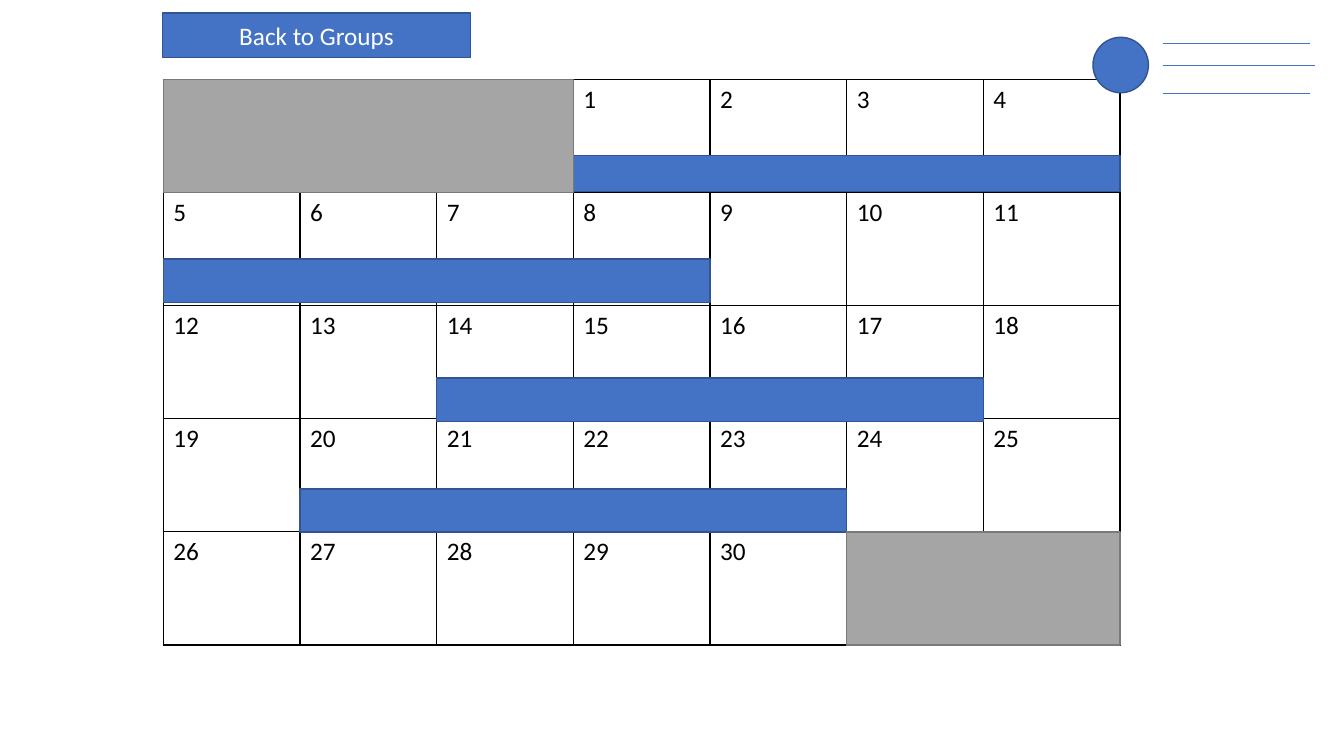
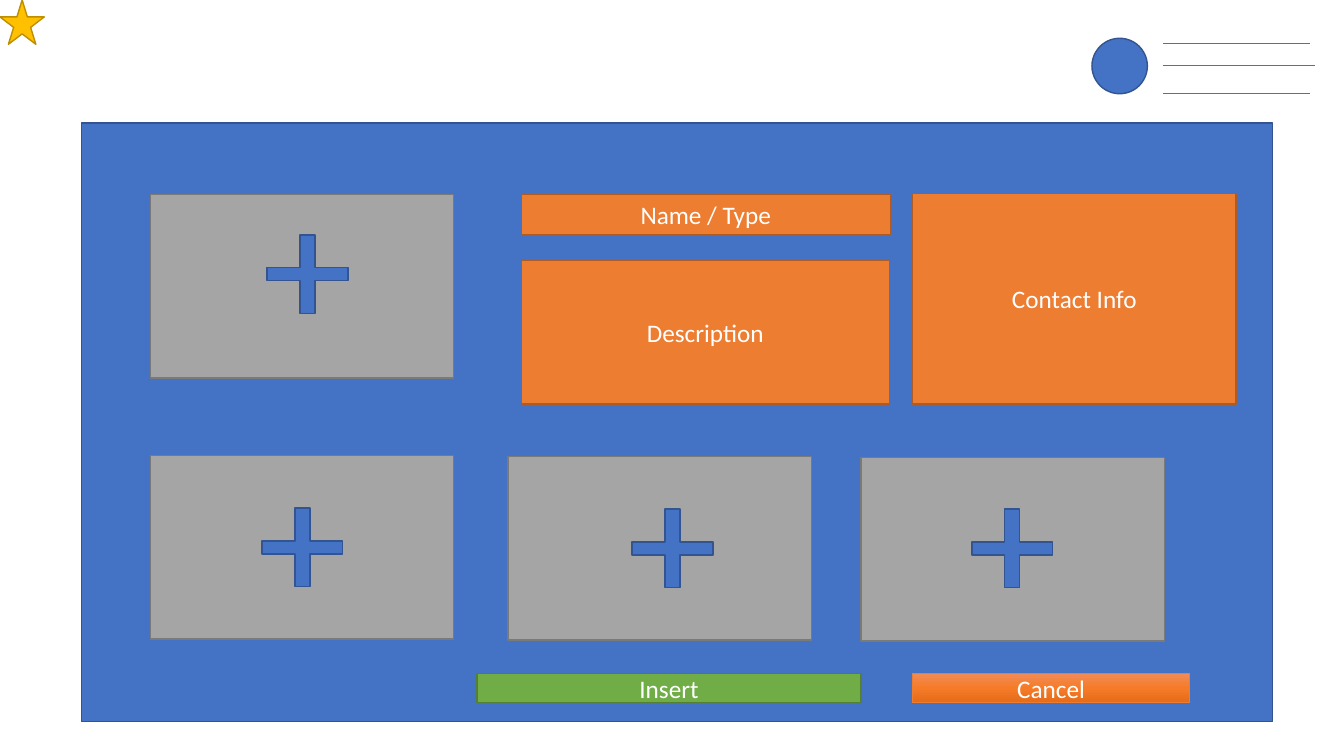
"""Build two app screens: a booking calendar and an entry form."""
from dataclasses import dataclass

from lxml import etree
from pptx import Presentation
from pptx.dml.color import RGBColor
from pptx.enum.shapes import MSO_CONNECTOR, MSO_SHAPE
from pptx.enum.text import MSO_ANCHOR, PP_ALIGN
from pptx.oxml.ns import qn
from pptx.shapes.autoshape import Shape
from pptx.slide import Slide
from pptx.table import _Cell
from pptx.text.text import TextFrame
from pptx.util import Inches, Pt

RECT, OVAL = MSO_SHAPE.RECTANGLE, MSO_SHAPE.OVAL
PLUS, STAR = MSO_SHAPE.CROSS, MSO_SHAPE.STAR_5_POINT
STRAIGHT = MSO_CONNECTOR.STRAIGHT
LEFT, CENTER = PP_ALIGN.LEFT, PP_ALIGN.CENTER
MIDDLE = MSO_ANCHOR.MIDDLE


@dataclass(frozen=True)
class Paint:
    """Fill and outline colours of a shape."""
    fill: str
    line: str


@dataclass(frozen=True)
class Theme:
    """Colours, font and sizes shared by the slides."""
    blue: Paint = Paint("4472C4", "325491")
    gray: Paint = Paint("A5A5A5", "7A7A7A")
    orange: Paint = Paint("ED7D31", "AF5C24")
    green: Paint = Paint("70AD47", "538035")
    gold: Paint = Paint("FFC000", "BD8E00")
    white: str = "FFFFFF"
    black: str = "000000"
    cancel_stops: tuple[str, ...] = ("F18C57", "F67B28", "E56C19")
    font: str = "Calibri"
    size: float = 18
    outline: float = 1
    hairline: float = 0.5


@dataclass(frozen=True)
class Box:
    """A painted shape with an optional label, measured in inches."""
    left: float
    top: float
    width: float
    height: float
    paint: Paint
    label: str = ""
    kind: MSO_SHAPE = RECT


@dataclass(frozen=True)
class Span:
    """A run of calendar columns covered by one block."""
    col: int
    cols: int
    top: float
    height: float
    paint: Paint


@dataclass(frozen=True)
class Grid:
    """Place and shape of the month table."""
    left: float = 1.62
    top: float = 0.79
    width: float = 9.49
    height: float = 5.61
    cols: int = 7
    rows: int = 5
    first_col: int = 3
    days: int = 30

    @property
    def col_width(self) -> float:
        """Return the width of one day."""
        return self.width / self.cols

    @property
    def row_height(self) -> float:
        """Return the height of one week."""
        return self.height / self.rows


T = Theme()
GRID = Grid()
LAST_WEEK = GRID.top + (GRID.rows - 1) * GRID.row_height

CALENDAR_SPANS = (
    Span(3, 4, 1.54, 0.36, T.blue),
    Span(0, 4, 2.57, 0.43, T.blue),
    Span(2, 4, 3.75, 0.43, T.blue),
    Span(1, 4, 4.85, 0.43, T.blue),
    Span(0, 3, GRID.top, GRID.row_height, T.gray),
    Span(5, 2, LAST_WEEK, GRID.row_height, T.gray),
)
PHOTO_SLOTS = ((1.49, 1.93), (1.49, 4.52), (5.04, 4.53), (8.54, 4.54))
PLUS_SPOTS = ((2.65, 2.33), (2.6, 5.04), (6.27, 5.05), (9.64, 5.05))
FIELDS = (
    Box(4.73, 6.68, 3.81, 0.29, T.green, "Insert"),
    Box(5.17, 1.93, 3.66, 0.4, T.orange, "Name / Type"),
    Box(5.17, 2.58, 3.65, 1.43, T.orange, "Description"),
    Box(9.05, 1.92, 3.21, 2.09, T.orange, "Contact Info"),
    Box(0, 0, 0.44, 0.44, T.gold, kind=STAR),
)
MENU_LINES = ((0.43, 12.99), (0.65, 13.04), (0.93, 12.99))


def write(tf: TextFrame, text: str, *, color: str, align: PP_ALIGN = LEFT) -> None:
    """Put one formatted line of text in a frame."""
    p = tf.paragraphs[0]
    p.alignment = align
    r = p.add_run()
    r.text = text
    r.font.name, r.font.size = T.font, Pt(T.size)
    r.font.color.rgb = RGBColor.from_string(color)


def add_box(s: Slide, box: Box) -> Shape:
    """Draw a painted shape and its centred label."""
    sp = s.shapes.add_shape(box.kind, Inches(box.left), Inches(box.top),
                            Inches(box.width), Inches(box.height))
    sp.shadow.inherit = False
    sp.fill.solid()
    sp.fill.fore_color.rgb = RGBColor.from_string(box.paint.fill)
    sp.line.color.rgb = RGBColor.from_string(box.paint.line)
    sp.line.width = Pt(T.outline)
    if box.label:
        sp.text_frame.vertical_anchor = MIDDLE
        write(sp.text_frame, box.label, color=T.white, align=CENTER)
    return sp


def add_rule(s: Slide, left: float, right: float, y: float) -> None:
    """Draw a thin horizontal line."""
    line = s.shapes.add_connector(STRAIGHT, Inches(left), Inches(y), Inches(right), Inches(y))
    line.line.color.rgb = RGBColor.from_string(T.blue.fill)
    line.line.width = Pt(T.hairline)
    etree.SubElement(line._element.spPr, qn("a:effectLst"))


def add_profile(s: Slide, left: float, top: float) -> None:
    """Draw the round avatar and the menu lines beside it."""
    add_box(s, Box(left, top, 0.55, 0.55, T.blue, kind=OVAL))
    for y, right in MENU_LINES:
        add_rule(s, 11.53, right, y)


def add_borders(cell: _Cell) -> None:
    """Give a cell black lines on all four sides."""
    tc_pr = cell._tc.get_or_add_tcPr()
    for side in ("a:lnL", "a:lnR", "a:lnT", "a:lnB"):
        ln = etree.SubElement(tc_pr, qn(side), w=str(Pt(T.outline)))
        solid = etree.SubElement(ln, qn("a:solidFill"))
        etree.SubElement(solid, qn("a:srgbClr"), val=T.black)


def add_month(s: Slide) -> None:
    """Draw the month table with its day numbers."""
    table = s.shapes.add_table(GRID.rows, GRID.cols, Inches(GRID.left), Inches(GRID.top),
                               Inches(GRID.width), Inches(GRID.height)).table
    table.first_row = table.horz_banding = False
    for column in table.columns:
        column.width = Inches(GRID.col_width)
    for week, row in enumerate(table.rows):
        row.height = Inches(GRID.row_height)
        for col, cell in enumerate(row.cells):
            add_borders(cell)
            cell.fill.solid()
            cell.fill.fore_color.rgb = RGBColor.from_string(T.white)
            day = week * GRID.cols + col - GRID.first_col + 1
            if 1 <= day <= GRID.days:
                write(cell.text_frame, str(day), color=T.black)


def add_span(s: Slide, span: Span) -> None:
    """Draw a block across calendar columns."""
    add_box(s, Box(GRID.left + span.col * GRID.col_width, span.top,
                   span.cols * GRID.col_width, span.height, span.paint))


def shade(sp: Shape, colors: tuple[str, ...]) -> None:
    """Fill a shape from top to bottom with evenly spaced colours."""
    sp.fill.gradient()
    sp.fill.gradient_angle = 270
    stops = sp._element.spPr.find(".//" + qn("a:gsLst"))
    stops.clear()
    for i, color in enumerate(colors):
        gs = etree.SubElement(stops, qn("a:gs"), pos=str(100000 * i // (len(colors) - 1)))
        etree.SubElement(gs, qn("a:srgbClr"), val=color)


def build_calendar(s: Slide) -> None:
    """Build the calendar screen."""
    add_month(s)
    for span in CALENDAR_SPANS:
        add_span(s, span)
    add_profile(s, 10.84, 0.37)
    add_box(s, Box(1.61, 0.13, 3.06, 0.44, T.blue, "Back to Groups"))


def build_form(s: Slide) -> None:
    """Build the entry form screen."""
    add_box(s, Box(0.81, 1.22, 11.81, 5.94, T.blue))
    for left, top in PHOTO_SLOTS:
        add_box(s, Box(left, top, 3.01, 1.82, T.gray))
    for left, top in PLUS_SPOTS:
        plus = add_box(s, Box(left, top, 0.8, 0.78, T.blue, kind=PLUS))
        plus.adjustments[0] = 0.417
    add_profile(s, 10.83, 0.38)
    for field in FIELDS:
        add_box(s, field)
    cancel_paint = Paint(T.orange.fill, T.orange.fill)
    cancel = add_box(s, Box(9.05, 6.68, 2.75, 0.29, cancel_paint, "Cancel"))
    cancel.line.width = Pt(T.hairline)
    shade(cancel, T.cancel_stops)


def main() -> None:
    """Build and save the presentation."""
    prs = Presentation()
    prs.slide_width, prs.slide_height = Inches(13.33), Inches(7.5)
    blank = prs.slide_layouts.get_by_name("Blank")
    for build in (build_calendar, build_form):
        build(prs.slides.add_slide(blank))
    prs.save("out.pptx")


main()
